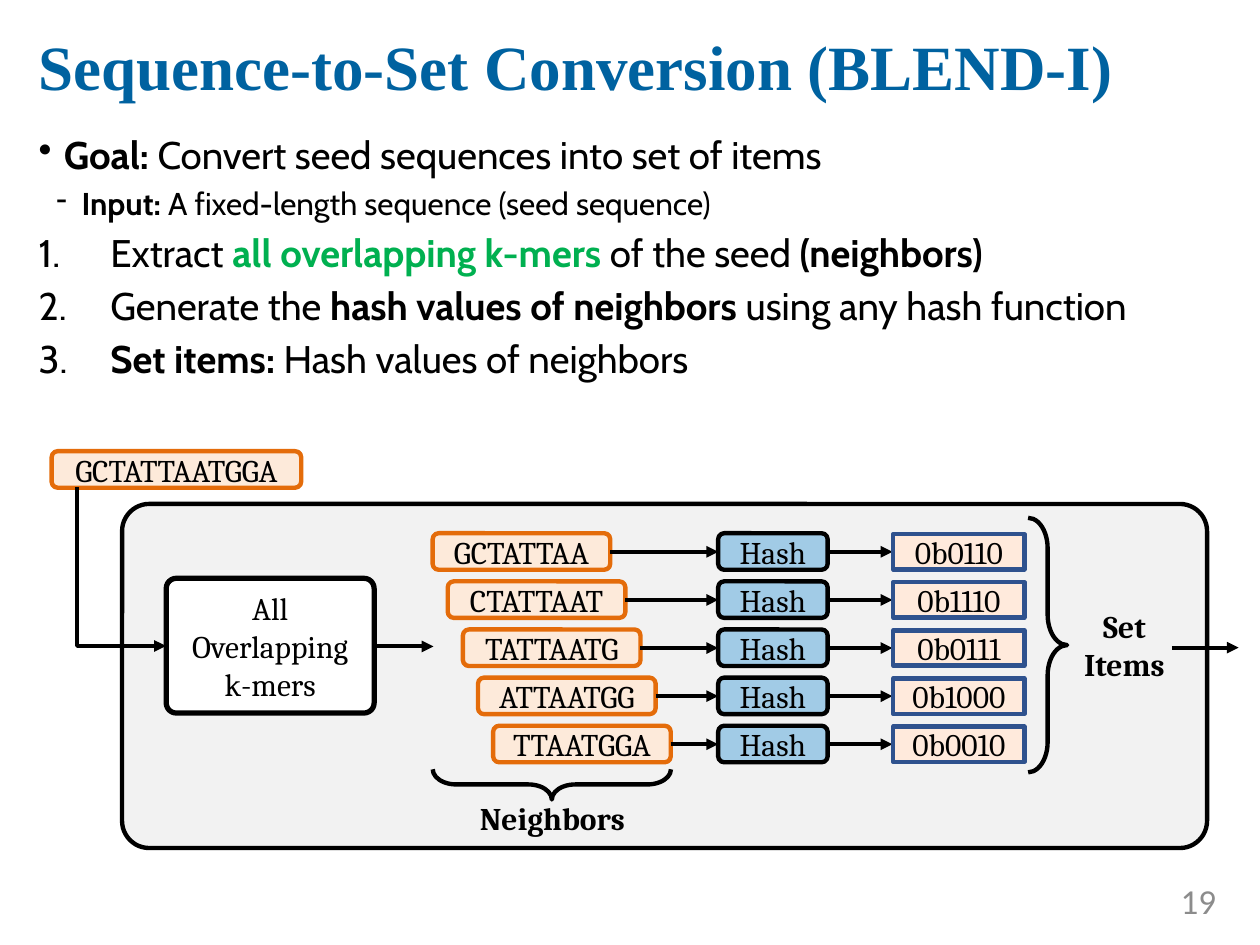
from dataclasses import dataclass

from lxml import etree
from pptx import Presentation
from pptx.dml.color import RGBColor
from pptx.enum.shapes import MSO_CONNECTOR, MSO_SHAPE
from pptx.enum.text import MSO_ANCHOR, PP_ALIGN
from pptx.oxml.ns import qn
from pptx.util import Pt

ROUNDED, RECTANGLE, BRACE = MSO_SHAPE.ROUNDED_RECTANGLE, MSO_SHAPE.RECTANGLE, MSO_SHAPE.LEFT_BRACE
STRAIGHT, ELBOW = MSO_CONNECTOR.STRAIGHT, MSO_CONNECTOR.ELBOW
LEFT, CENTER, RIGHT = PP_ALIGN.LEFT, PP_ALIGN.CENTER, PP_ALIGN.RIGHT
TOP, MIDDLE = MSO_ANCHOR.TOP, MSO_ANCHOR.MIDDLE

COLORS = {
    "black": "000000", "white": "FFFFFF", "title": "0062A0", "green": "00B050",
    "page": "8C8C8C", "panel": "F2F2F2", "seed": "FDEADA", "orange": "E46C0A",
    "hash": "A1CBE6", "item": "FFEADC", "navy": "2F528E",
}


@dataclass
class Span:
    text: str
    bold: bool = False
    color: str = "black"


@dataclass
class Point:
    spans: list[Span]
    marker: str = "number"
    size: float = 22
    level: int = 0
    indent: float = 36
    hanging: float = 36


@dataclass
class Style:
    fill: str
    line: str
    width: float = 2.5
    kind: int = ROUNDED
    rounding: float | None = None


SEED = Style("seed", "orange")
HASH = Style("hash", "black")
ITEM = Style("item", "navy", kind=RECTANGLE)
PANEL = Style("panel", "black", rounding=0.079)
STEP = Style("white", "black", width=3, rounding=0.075)


def rgb(name: str) -> RGBColor:
    return RGBColor.from_string(COLORS[name])


def add_run(paragraph, text: str, *, font="Cambria", size=18, color="black", bold=False) -> None:
    run = paragraph.add_run()
    run.text = text
    run.font.name, run.font.size, run.font.bold = font, Pt(size), bold
    run.font.color.rgb = rgb(color)


def write_text(shape, text: str, *, align=CENTER, anchor=MIDDLE, margin=None, **font) -> None:
    """Put one paragraph per line of text into the shape."""
    frame = shape.text_frame
    frame.word_wrap, frame.vertical_anchor = True, anchor
    if margin is not None:
        frame.margin_left = frame.margin_right = Pt(margin)
        frame.margin_top = frame.margin_bottom = Pt(margin)
    for index, line in enumerate(text.split("\n")):
        paragraph = frame.add_paragraph() if index else frame.paragraphs[0]
        paragraph.alignment = align
        add_run(paragraph, line, **font)


def add_text(slide, box: tuple, text: str, **style) -> None:
    write_text(slide.shapes.add_textbox(*map(Pt, box)), text, **style)


def add_box(slide, box: tuple, style: Style, text: str = "") -> None:
    shape = slide.shapes.add_shape(style.kind, *map(Pt, box))
    shape.shadow.inherit = False
    shape.fill.solid()
    shape.fill.fore_color.rgb = rgb(style.fill)
    shape.line.color.rgb = rgb(style.line)
    shape.line.width = Pt(style.width)
    if style.rounding is not None:
        shape.adjustments[0] = style.rounding
    if text:
        write_text(shape, text)


def add_brace(slide, box: tuple, rotation: float) -> None:
    shape = slide.shapes.add_shape(BRACE, *map(Pt, box))
    shape.shadow.inherit = False
    shape.fill.background()
    shape.line.color.rgb = rgb("black")
    shape.line.width = Pt(2.5)
    shape.adjustments[0] = 0.776
    shape.rotation = rotation


def add_arrow(slide, start: tuple, end: tuple, kind=STRAIGHT):
    arrow = slide.shapes.add_connector(kind, *map(Pt, start + end))
    arrow.line.color.rgb = rgb("black")
    arrow.line.width = Pt(2.25)
    etree.SubElement(arrow.line._get_or_add_ln(), qn("a:tailEnd"), type="triangle")
    etree.SubElement(arrow._element.spPr, qn("a:effectLst"))
    return arrow


def add_points(slide, box: tuple, points: list[Point]) -> None:
    frame = slide.shapes.add_textbox(*map(Pt, box)).text_frame
    frame.word_wrap, frame.vertical_anchor = True, TOP
    for index, point in enumerate(points):
        paragraph = frame.add_paragraph() if index else frame.paragraphs[0]
        paragraph.alignment, paragraph.level = LEFT, point.level
        paragraph.space_before = Pt(4 if index else 0)
        properties = paragraph._p.get_or_add_pPr()
        properties.set("marL", str(Pt(point.indent)))
        properties.set("indent", str(-Pt(point.hanging)))
        bullet_color = etree.SubElement(properties, qn("a:buClr"))
        etree.SubElement(bullet_color, qn("a:srgbClr"), val=COLORS["black"])
        if point.marker == "number":
            etree.SubElement(properties, qn("a:buAutoNum"), type="arabicPeriod")
        else:
            etree.SubElement(properties, qn("a:buChar"), char=point.marker)
        for span in point.spans:
            add_run(paragraph, span.text, font="Cabin", size=point.size,
                    bold=span.bold, color=span.color)


POINTS = [
    Point([Span("Goal:", True), Span(" Convert seed sequences into set of items")],
          marker="•", indent=14.4, hanging=14.4),
    Point([Span("Input: ", True), Span("A fixed-length sequence (seed sequence)")],
          marker="-", size=18, level=1, indent=24.5, hanging=14.4),
    Point([Span(" Extract "), Span("all overlapping k-mers", True, "green"),
           Span(" of the seed "), Span("(neighbors)", True)]),
    Point([Span(" Generate the "), Span("hash values of neighbors", True),
           Span(" using any hash function")]),
    Point([Span(" "), Span("Set items:", True), Span(" Hash values of neighbors")]),
]
SEQUENCE = "GCTATTAATGGA"
KMER_LENGTH = 8
HASH_VALUES = ["0b0110", "0b1110", "0b0111", "0b1000", "0b0010"]


def main() -> None:
    presentation = Presentation()
    presentation.slide_width, presentation.slide_height = Pt(720), Pt(540)
    slide = presentation.slides.add_slide(presentation.slide_layouts[6])

    # Title, page number and main points
    add_text(slide, (15, 7.2, 692.6, 60.5), "Sequence-to-Set Conversion (BLEND-I)",
             align=LEFT, font="Times New Roman", size=36, color="title", bold=True)
    add_text(slide, (624.2, 500.4, 77.8, 28.8), "19",
             align=RIGHT, font="Calibri", size=20, color="page")
    add_points(slide, (15, 71.3, 705, 149), POINTS)

    # Panel, seed and extraction step
    add_box(slide, (69.8, 288, 620, 196.6), PANEL)
    add_box(slide, (29.5, 257.8, 142.6, 20.9), SEED, SEQUENCE)
    add_box(slide, (95, 330.5, 118.8, 77), STEP, "All Overlapping k-mers")
    add_arrow(slide, (213.8, 369.4), (247.7, 369.4))

    # Elbow from the seed down and right to the step
    elbow = add_arrow(slide, (114.84, 298.4), (24.12, 349.2), ELBOW)
    elbow._element.spPr.find(qn("a:prstGeom")).set("prst", "bentConnector2")
    elbow._element.spPr.find(qn("a:xfrm")).set("rot", str(270 * 60000))

    # One row per k-mer: neighbor, hash function, set item
    for row, value in enumerate(HASH_VALUES):
        top, left = 304.7 + 27.5 * row, 247.2 + 8.65 * row
        middle = top + 10.6
        add_box(slide, (left, top, 101.5, 20.9), SEED, SEQUENCE[row:row + KMER_LENGTH])
        add_arrow(slide, (left + 101.5, middle), (410.4, middle))
        add_box(slide, (410.4, top, 62.6, 20.9), HASH, "Hash")
        add_arrow(slide, (472, middle), (510, middle))
        add_box(slide, (510.5, top + 0.5, 74.9, 20.2), ITEM, value)

    # Braces with their labels, and the way out
    add_brace(slide, (587.5, 295.9, 22.3, 145.4), 180)
    add_text(slide, (618.5, 347, 48.2, 43.9), "Set\nItems", anchor=TOP, margin=0, bold=True)
    add_arrow(slide, (669.6, 370.1), (707.8, 370.1))
    add_brace(slide, (306.7, 380.2, 17.3, 136.1), 270)
    add_text(slide, (270, 456.5, 91.4, 21.6), "Neighbors", anchor=TOP, margin=0, bold=True)

    presentation.save("out.pptx")


if __name__ == "__main__":
    main()
